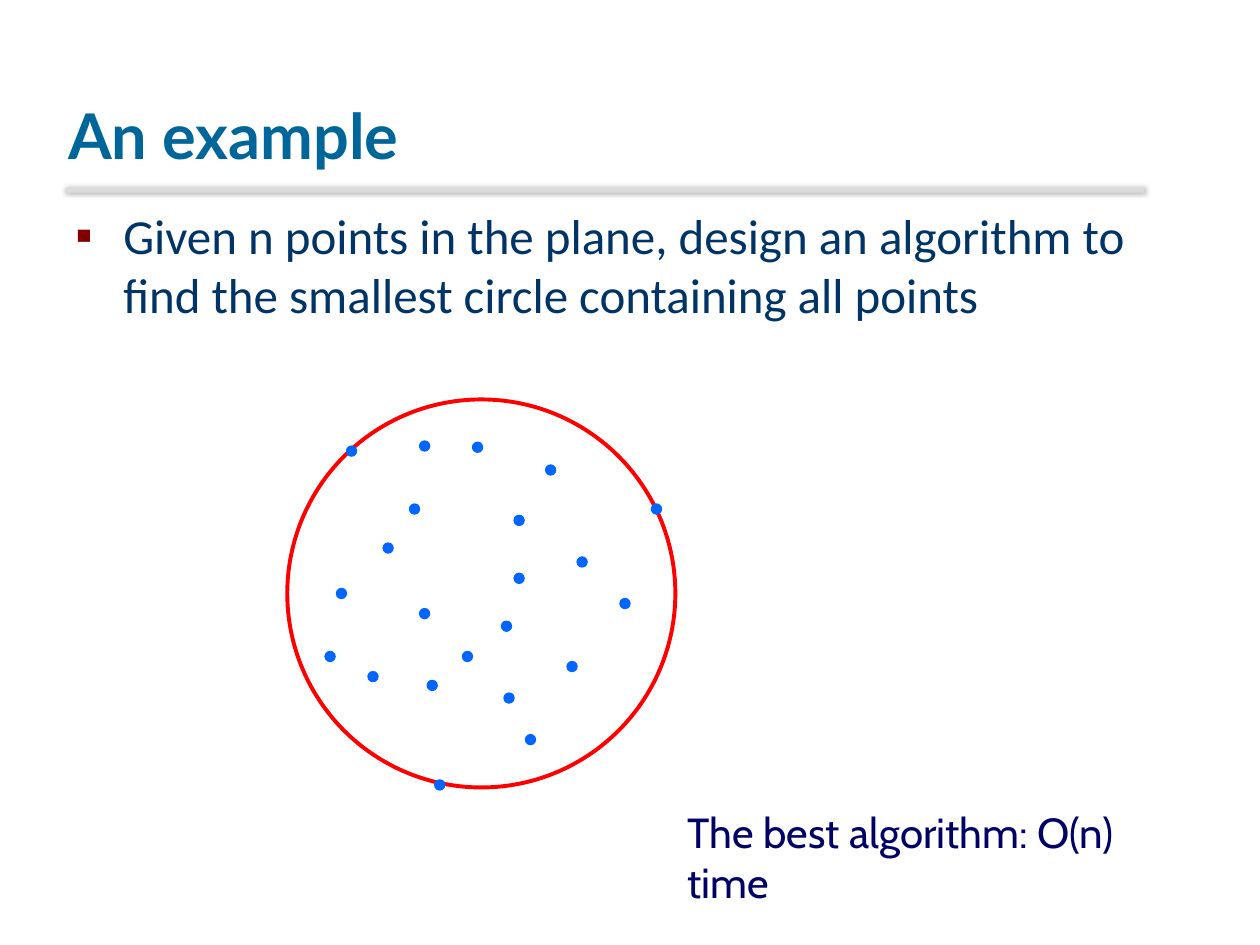
from lxml import etree
from pptx import Presentation
from pptx.dml.color import RGBColor
from pptx.enum import shapes, text
from pptx.oxml.ns import qn
from pptx.util import Inches, Pt

TITLE = "An example"
TASK = ("Given n points in the plane, design an algorithm to find "
        "the smallest circle containing all points")
RESULT = "The best algorithm: O(n) time"
CIRCLE = (2.28, 3.17, 3.08, 3.08)
RULE = (0.52, 1.49, 8.56, 0.04)
DOT = 0.08
POINTS = [
    (3.25, 4), (2.67, 4.67), (3.39, 5.4), (4.08, 4.09), (3.04, 4.31),
    (4.08, 4.55), (3.33, 4.83), (2.75, 3.54), (3.67, 5.17), (2.92, 5.33),
    (4, 5.5), (3.75, 3.51), (3.45, 6.19), (4.33, 3.69), (5.17, 4),
    (4.58, 4.42), (3.98, 4.93), (4.92, 4.75), (4.5, 5.25), (4.17, 5.83),
    (2.58, 5.17), (3.33, 3.5),
]


def color(value):
    return RGBColor.from_string(value)


def add_child(parent, tag, **values):
    child = etree.SubElement(parent, qn(tag))
    for name, value in values.items():
        child.set(name, str(value))
    return child


def draw(page, kind, place, fill, line=None, weight=0.75):
    shape = page.shapes.add_shape(kind, *map(Inches, place))
    shape.shadow.inherit = False
    shape.fill.solid()
    shape.fill.fore_color.rgb = color(fill)
    if line:
        shape.line.color.rgb = color(line)
        shape.line.width = Pt(weight)
    else:
        shape.line.fill.background()
    return shape


def write(box, place, words, anchor, style, ink):
    for name, value in zip(("left", "top", "width", "height"), place):
        setattr(box, name, Inches(value))
    frame = box.text_frame
    frame.word_wrap = True
    frame.auto_size = text.MSO_AUTO_SIZE.NONE
    frame.vertical_anchor = anchor
    para = frame.paragraphs[0]
    para.alignment = text.PP_ALIGN.LEFT
    span = para.add_run()
    span.text = words
    for name, value in style.items():
        setattr(span.font, name, value)
    span.font.color.rgb = color(ink)
    return para


def add_bullet(para, mark, ink):
    props = para._p.get_or_add_pPr()
    props.set("marL", str(Inches(0.38)))
    props.set("indent", str(-Inches(0.38)))
    add_child(add_child(props, "a:buClr"), "a:srgbClr", val=ink)
    add_child(props, "a:buFont", typeface="Arial")
    add_child(props, "a:buChar", char=mark)


def soften(shape):
    effects = shape._element.spPr.find(qn("a:effectLst"))
    shadow = add_child(effects, "a:outerShdw", blurRad=Pt(3), dist=0, dir=0)
    tint = add_child(shadow, "a:srgbClr", val="000000")
    add_child(tint, "a:alpha", val=30000)


def main():
    deck = Presentation()
    deck.slide_width, deck.slide_height = Inches(10), Inches(7.5)
    page = deck.slides.add_slide(deck.slide_layouts[5])
    oval = shapes.MSO_SHAPE.OVAL
    top, bottom = text.MSO_ANCHOR.TOP, text.MSO_ANCHOR.BOTTOM

    soften(draw(page, shapes.MSO_SHAPE.RECTANGLE, RULE, "DCDCDC"))
    draw(page, oval, CIRCLE, "FFFFFF", "FF0000", 2.25)
    write(page.shapes.title, (0.44, 0.17, 8.5, 1.25), TITLE, bottom,
          {"name": "Lato", "size": Pt(36), "bold": True}, "006699")
    task = page.shapes.add_textbox(0, 0, 0, 0)
    para = write(task, (0.5, 1.58, 8.92, 0.67), TASK, top,
                 {"name": "Calibri", "size": Pt(28)}, "003366")
    add_bullet(para, "▪", "800000")
    for left, upper in POINTS:
        draw(page, oval, (left, upper, DOT, DOT), "0066FF", "0066FF")
    result = page.shapes.add_textbox(0, 0, 0, 0)
    write(result, (5.36, 6.35, 4.1, 0.5), RESULT, top,
          {"name": "Cabin", "size": Pt(24)}, "000066")
    deck.save("out.pptx")


if __name__ == "__main__":
    main()
